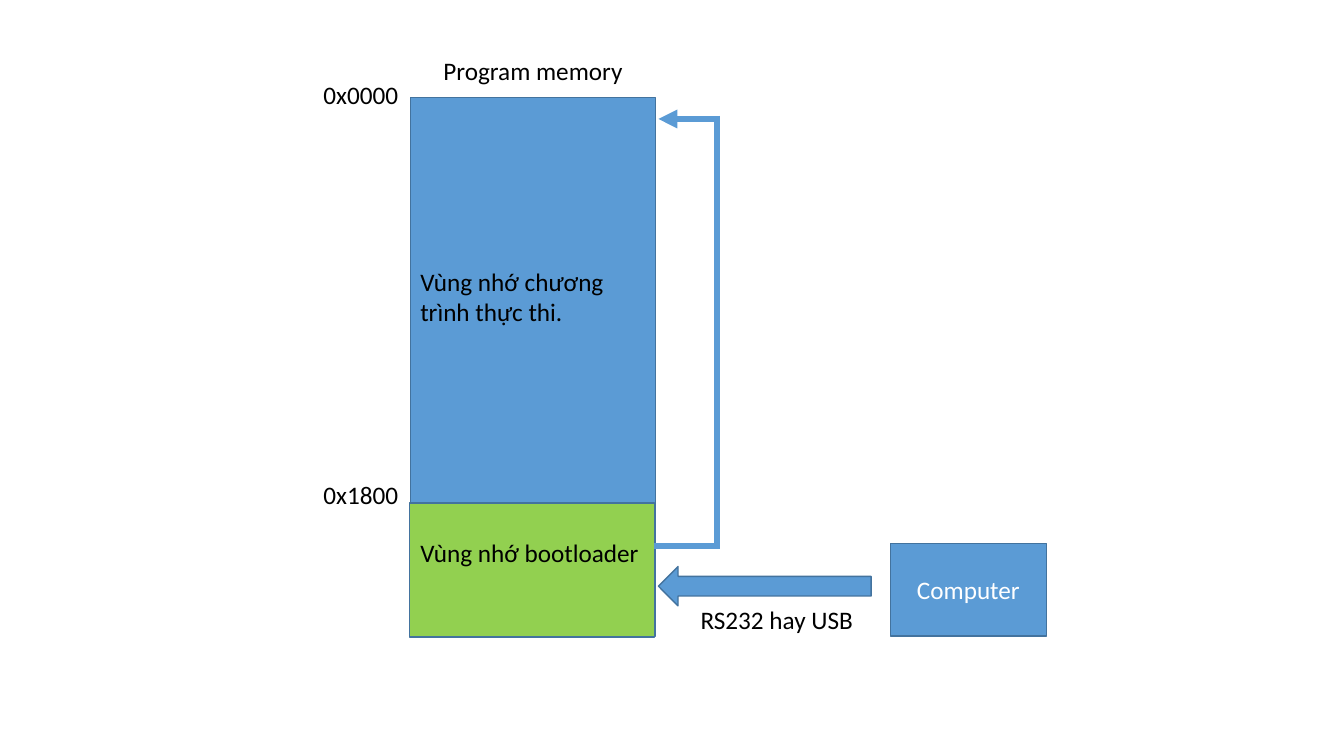
"""Builds a slide that shows a bootloader writing program memory."""
import pptx
import pptx.dml.color
import pptx.enum.shapes
import pptx.enum.text
import pptx.oxml
import pptx.oxml.ns
import pptx.util

Inches = pptx.util.Inches
Pt = pptx.util.Pt
RGBColor = pptx.dml.color.RGBColor
Shape = pptx.enum.shapes.MSO_SHAPE
Align = pptx.enum.text.PP_ALIGN
Anchor = pptx.enum.text.MSO_ANCHOR

BLUE = RGBColor(0x5B, 0x9B, 0xD5)
OUTLINE = RGBColor(0x43, 0x73, 0x9E)
GREEN = RGBColor(0x92, 0xD0, 0x50)
BLACK = RGBColor(0, 0, 0)
WHITE = RGBColor(255, 255, 255)


def write(frame, text, color=BLACK, align=Align.LEFT, anchor=Anchor.TOP, wrap=True):
    """Put formatted text into a text frame."""
    frame.word_wrap = wrap
    frame.vertical_anchor = anchor
    paragraph = frame.paragraphs[0]
    paragraph.alignment = align
    run = paragraph.add_run()
    run.text = text
    run.font.name = "Calibri"
    run.font.size = Pt(18)
    run.font.color.rgb = color


def add_label(slide, text, left, top, width, height=0.4, wrap=True):
    """Add a text box."""
    label = slide.shapes.add_textbox(
        Inches(left), Inches(top), Inches(width), Inches(height))
    write(label.text_frame, text, wrap=wrap)


def add_block(slide, left, top, width, height, fill=BLUE, kind=Shape.RECTANGLE):
    """Add an outlined shape and return it."""
    block = slide.shapes.add_shape(
        kind, Inches(left), Inches(top), Inches(width), Inches(height))
    block.shadow.inherit = False
    block.fill.solid()
    block.fill.fore_color.rgb = fill
    block.line.color.rgb = OUTLINE
    block.line.width = Pt(1)
    return block


def add_line(slide, start, end, arrow=False):
    """Add a thick straight line, with an arrowhead at its end if asked."""
    line = slide.shapes.add_connector(
        pptx.enum.shapes.MSO_CONNECTOR.STRAIGHT,
        *(Inches(length) for length in (*start, *end)))
    line.line.color.rgb = BLUE
    line.line.width = Pt(4.5)
    namespace = pptx.oxml.ns.nsdecls("a")
    if arrow:
        line.line._get_or_add_ln().append(
            pptx.oxml.parse_xml(f'<a:tailEnd {namespace} type="triangle"/>'))
    line._element.spPr.append(pptx.oxml.parse_xml(f"<a:effectLst {namespace}/>"))


def main():
    """Build and save the slide."""
    deck = pptx.Presentation()
    deck.slide_width, deck.slide_height = Inches(13.33), Inches(7.5)
    slide = deck.slides.add_slide(deck.slide_layouts[6])

    add_block(slide, 4.07, 0.97, 2.43, 5.34)
    add_block(slide, 4.06, 4.99, 2.43, 1.33, fill=GREEN)
    for address, top in (("0x0000", 0.74), ("0x1800", 4.71)):
        add_label(slide, address, 3.11, top, 0.95, wrap=False)
    add_label(slide, "Vùng nhớ bootloader", 4.07, 5.28, 2.43)
    add_label(slide, "Vùng nhớ chương trình thực thi.", 4.07, 2.59, 2.39, 0.71)

    add_block(slide, 6.53, 5.62, 2.11, 0.39, kind=Shape.LEFT_ARROW)
    computer = add_block(slide, 8.83, 5.39, 1.55, 0.92)
    write(computer.text_frame, "Computer", color=WHITE, align=Align.CENTER,
          anchor=Anchor.MIDDLE)

    add_line(slide, (7.14, 1.18), (6.53, 1.18), arrow=True)
    add_line(slide, (7.11, 1.15), (7.11, 5.45))
    add_line(slide, (7.14, 5.42), (6.49, 5.42))
    add_label(slide, "RS232 hay USB", 6.85, 5.95, 1.79, wrap=False)
    add_label(slide, "Program memory", 4.3, 0.5, 2.39)

    deck.save("out.pptx")


main()
